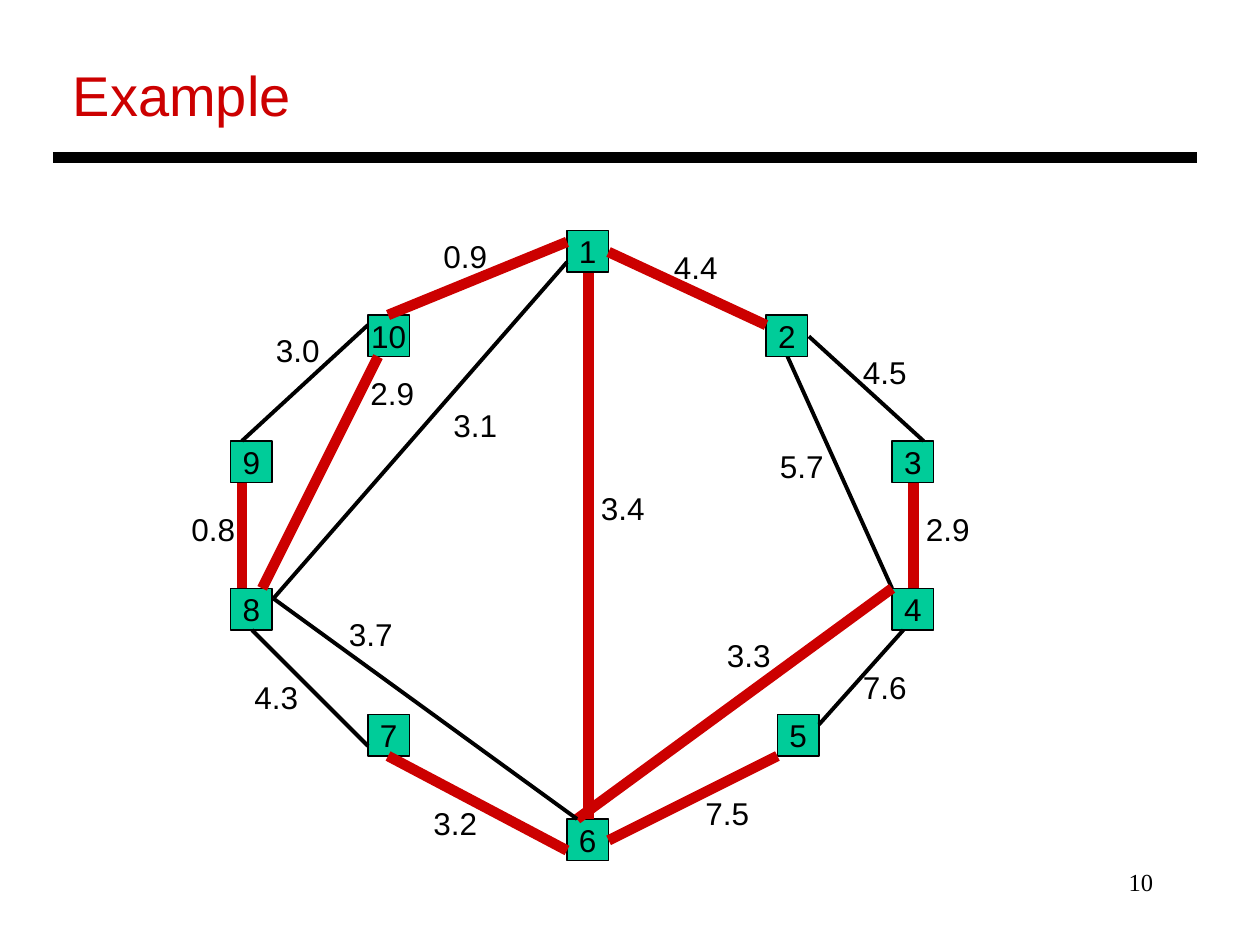
"""Build a slide showing a weighted ten-node graph with its spanning tree in red."""
from pptx import Presentation
from pptx.dml.color import RGBColor
from pptx.enum.shapes import MSO_CONNECTOR, MSO_SHAPE
from pptx.enum.text import MSO_ANCHOR, MSO_AUTO_SIZE, PP_ALIGN
from pptx.oxml.ns import qn
from pptx.util import Inches, Pt
from lxml import etree

STRAIGHT, RECTANGLE = MSO_CONNECTOR.STRAIGHT, MSO_SHAPE.RECTANGLE
LEFT, CENTER, RIGHT = PP_ALIGN.LEFT, PP_ALIGN.CENTER, PP_ALIGN.RIGHT
TOP, MIDDLE = MSO_ANCHOR.TOP, MSO_ANCHOR.MIDDLE
GROW, FIXED = MSO_AUTO_SIZE.SHAPE_TO_FIT_TEXT, MSO_AUTO_SIZE.NONE

COLORS = {"ink": "000000", "tree": "CC0000", "node": "00CC99"}
NODE_SIZE = 0.33
TITLE = {"size": Pt(32), "name": "Arial"}
BODY = {"size": Pt(18), "name": "Arial"}
FOOTER = {"size": Pt(14), "name": "Times New Roman"}
LABEL_FRAME = {"word_wrap": False, "auto_size": GROW, "vertical_anchor": TOP}
NODE_FRAME = {"word_wrap": False, "auto_size": FIXED, "vertical_anchor": MIDDLE}
FOOTER_FRAME = {"word_wrap": True, "auto_size": FIXED, "vertical_anchor": TOP}

NODES = {
    "1": (4.5, 1.83), "2": (6.08, 2.5), "3": (7.08, 3.5), "4": (7.08, 4.67),
    "5": (6.17, 5.67), "6": (4.5, 6.5), "10": (2.92, 2.5), "9": (1.83, 3.5),
    "8": (1.83, 4.67), "7": (2.92, 5.67),
}

EDGES = [
    ((4.83, 2), (6.08, 2.58), True, "4.4", (5.25, 1.92)),
    ((6.42, 2.67), (7.33, 3.5), False, "4.5", (6.75, 2.75)),
    ((6.25, 2.83), (7.08, 4.67), False, "5.7", (6.09, 3.5)),
    ((7.25, 3.83), (7.25, 4.67), True, "2.9", (7.25, 4)),
    ((7.08, 4.67), (4.58, 6.5), True, "3.3", (5.67, 5)),
    ((4.83, 6.67), (6.17, 6), True, "7.5", (5.5, 6.25)),
    ((7.17, 5), (6.5, 5.75), False, "7.6", (6.75, 5.25)),
    ((4.67, 2.17), (4.67, 6.5), True, "3.4", (4.67, 3.83)),
    ((3.08, 2.5), (4.5, 1.92), True, "0.9", (3.42, 1.83)),
    ((4.5, 2.08), (2.17, 4.75), False, "3.1", (3.5, 3.17)),
    ((2.92, 2.58), (1.92, 3.5), False, "3.0", (2.09, 2.58)),
    ((3, 2.83), (2.08, 4.67), True, "2.9", (2.84, 2.92)),
    ((1.92, 3.83), (1.92, 4.67), True, "0.8", (1.42, 4)),
    ((2, 5), (2.92, 5.92), False, "4.3", (1.92, 5.33)),
    ((2.17, 4.75), (4.58, 6.5), False, "3.7", (2.67, 4.83)),
    ((3.08, 6), (4.5, 6.75), True, "3.2", (3.34, 6.33)),
]


def write(shape, text, font_format, frame_format, align=LEFT, color="ink"):
    frame = shape.text_frame
    for attribute, value in frame_format.items():
        setattr(frame, attribute, value)
    paragraph = frame.paragraphs[0]
    paragraph.alignment = align
    run = paragraph.add_run()
    run.text = text
    for attribute, value in font_format.items():
        setattr(run.font, attribute, value)
    run.font.color.rgb = RGBColor.from_string(COLORS[color])


def draw_line(start, end, color, width):
    line = slide.shapes.add_connector(STRAIGHT, *map(Inches, start + end))
    line.line.color.rgb = RGBColor.from_string(COLORS[color])
    line.line.width = Pt(width)
    etree.SubElement(line._element.spPr, qn("a:effectLst"))


prs = Presentation()
prs.slide_width, prs.slide_height = Inches(10), Inches(7.5)
slide = prs.slides.add_slide(prs.slide_layouts[6])

heading = slide.shapes.add_textbox(*map(Inches, (0.48, 0.43, 1.93, 0.64)))
write(heading, "Example", TITLE, LABEL_FRAME, color="tree")
draw_line((0.42, 1.25), (9.5, 1.25), "ink", 6)

for number, (x, y) in NODES.items():
    node = slide.shapes.add_shape(RECTANGLE, *map(Inches, (x, y, NODE_SIZE, NODE_SIZE)))
    node.shadow.inherit = False
    node.fill.solid()
    node.fill.fore_color.rgb = RGBColor.from_string(COLORS["node"])
    node.line.color.rgb = RGBColor.from_string(COLORS["ink"])
    node.line.width = Pt(0.75)
    write(node, number, BODY, NODE_FRAME, CENTER)

for start, end, in_tree, _, _ in EDGES:
    draw_line(start, end, "tree" if in_tree else "ink", 6 if in_tree else 2.25)

for _, _, _, weight, (x, y) in EDGES:
    weight_label = slide.shapes.add_textbox(*map(Inches, (x, y, 0.55, 0.4)))
    write(weight_label, weight, BODY, LABEL_FRAME)

page_number = slide.shapes.add_textbox(*map(Inches, (7.17, 6.83, 2.08, 0.5)))
write(page_number, "10", FOOTER, FOOTER_FRAME, RIGHT)

prs.save("out.pptx")
